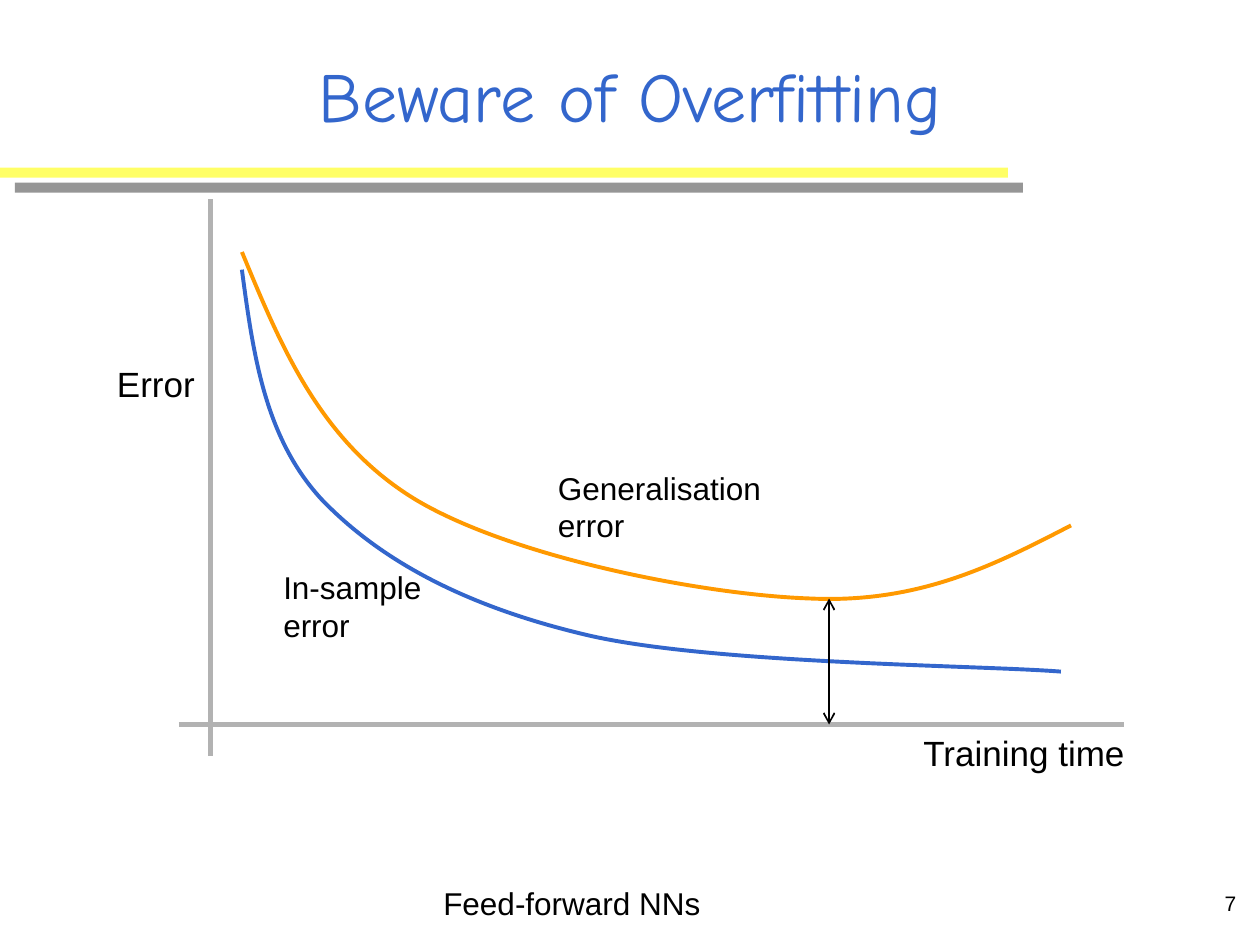
from lxml import etree
from pptx import Presentation
from pptx.dml.color import RGBColor
from pptx.enum import shapes, text
from pptx.oxml.ns import qn
from pptx.util import Inches, Pt

BLUE = RGBColor(0x33, 0x66, 0xCC)
ORANGE = RGBColor(0xFF, 0x99, 0x00)
YELLOW = RGBColor(0xFF, 0xFF, 0x66)
AXIS_GREY = RGBColor(0xB2, 0xB2, 0xB2)
SHADOW_GREY = RGBColor(0x96, 0x96, 0x96)
BLACK = RGBColor(0, 0, 0)

IN_SAMPLE = [(0.5, 0.56), (0.59, 1.23), (0.68, 1.89), (1.13, 2.38),
             (1.59, 2.86), (2.26, 3.23), (3.24, 3.46),
             (4.22, 3.69), (6.38, 3.7), (7, 3.75)]
GENERALISATION = [(0.5, 0.42), (0.81, 1.17), (1.12, 1.92), (1.87, 2.38),
                  (2.63, 2.84), (4.15, 3.14), (5.01, 3.17),
                  (5.88, 3.21), (6.48, 2.9), (7.08, 2.59)]


def add_text(s, words, x, y, w, h, size=18, font="Arial", color=BLACK,
             align=text.PP_ALIGN.LEFT, anchor=text.MSO_ANCHOR.TOP, wrap=True):
    tf = s.shapes.add_textbox(Inches(x), Inches(y), Inches(w), Inches(h)).text_frame
    tf.word_wrap = wrap
    tf.vertical_anchor = anchor
    tf.text = words
    for p in tf.paragraphs:
        p.alignment = align
        p.font.size, p.font.name = Pt(size), font
        p.font.color.rgb = color


def add_line(s, x1, y1, x2, y2, color, width, arrows=False):
    cn = s.shapes.add_connector(shapes.MSO_CONNECTOR.STRAIGHT,
                                Inches(x1), Inches(y1), Inches(x2), Inches(y2))
    cn.line.color.rgb = color
    cn.line.width = Pt(width)
    if arrows:
        ln = cn.line._get_or_add_ln()
        for end in ("a:headEnd", "a:tailEnd"):
            etree.SubElement(ln, qn(end), type="arrow")
    etree.SubElement(cn._element.spPr, qn("a:effectLst"))


def add_curve(s, x, y, points, color):
    """Bezier curve: a start point, then two controls and an end per segment."""
    pts = [(Inches(x + px), Inches(y + py)) for px, py in points]
    fb = s.shapes.build_freeform(*pts[0])
    fb.add_line_segments(pts[1:], close=False)
    sp = fb.convert_to_shape()
    sp.shadow.inherit = False
    sp.fill.background()
    sp.line.color.rgb = color
    sp.line.width = Pt(2.25)
    path = next(sp._element.iter(qn("a:path")))
    steps = path.findall(qn("a:lnTo"))
    for i in range(0, len(steps), 3):
        bezier = etree.SubElement(path, qn("a:cubicBezTo"))
        for step in steps[i:i + 3]:
            bezier.append(step[0])
            path.remove(step)


def add_header(s, x, y):
    bar = s.shapes.add_shape(shapes.MSO_SHAPE.RECTANGLE,
                             Inches(x), Inches(y + 1.33), Inches(8), Inches(0.08))
    bar.shadow.inherit = False
    bar.fill.solid()
    bar.fill.fore_color.rgb = YELLOW
    bar.line.fill.background()
    effects = bar._element.spPr.find(qn("a:effectLst"))
    shadow = etree.SubElement(effects, qn("a:outerShdw"), dist=str(Pt(12.1)),
                              dir="2700000", algn="ctr", rotWithShape="0")
    etree.SubElement(shadow, qn("a:srgbClr"), val=str(SHADOW_GREY))
    add_text(s, "Beware of Overfitting", x + 0.75, y + 0.25, 8.5, 1, size=40,
             font="Comic Neue", color=BLUE, align=text.PP_ALIGN.CENTER,
             anchor=text.MSO_ANCHOR.MIDDLE)


def add_error_plot(s, x, y):
    add_curve(s, x, y, IN_SAMPLE, BLUE)
    add_curve(s, x, y, GENERALISATION, ORANGE)
    base = y + 4.17
    add_line(s, x + 0.25, y, x + 0.25, y + 4.42, AXIS_GREY, 3)
    add_line(s, x, base, x + 7.5, base, AXIS_GREY, 3)
    for words, dx, dy, w, h, size in (
            ("Training time", 5.81, 4.18, 1.81, 0.44, 20),
            ("Error", -0.59, 1.25, 0.82, 0.44, 20),
            ("In-sample\nerror", 0.73, 2.88, 1.36, 0.7, 18),
            ("Generalisation\nerror", 2.91, 2.09, 1.81, 0.7, 18)):
        add_text(s, words, x + dx, y + dy, w, h, size=size, wrap=False)
    add_line(s, x + 5.16, base - 1, x + 5.16, base, BLACK, 1, arrows=True)


def add_footer(s, x, y):
    middle = text.MSO_ANCHOR.MIDDLE
    add_text(s, "Feed-forward NNs", x, y, 3.17, 0.5, anchor=middle)
    add_text(s, "7", x + 4.41, y, 2.08, 0.5, size=12,
             align=text.PP_ALIGN.RIGHT, anchor=middle)


def main():
    prs = Presentation()
    prs.slide_width, prs.slide_height = Inches(10), Inches(7.5)
    s = prs.slides.add_slide(prs.slide_layouts[6])
    add_header(s, 0, 0)
    add_error_plot(s, 1.42, 1.58)
    add_footer(s, 3.42, 6.92)
    prs.save("out.pptx")


if __name__ == "__main__":
    main()
